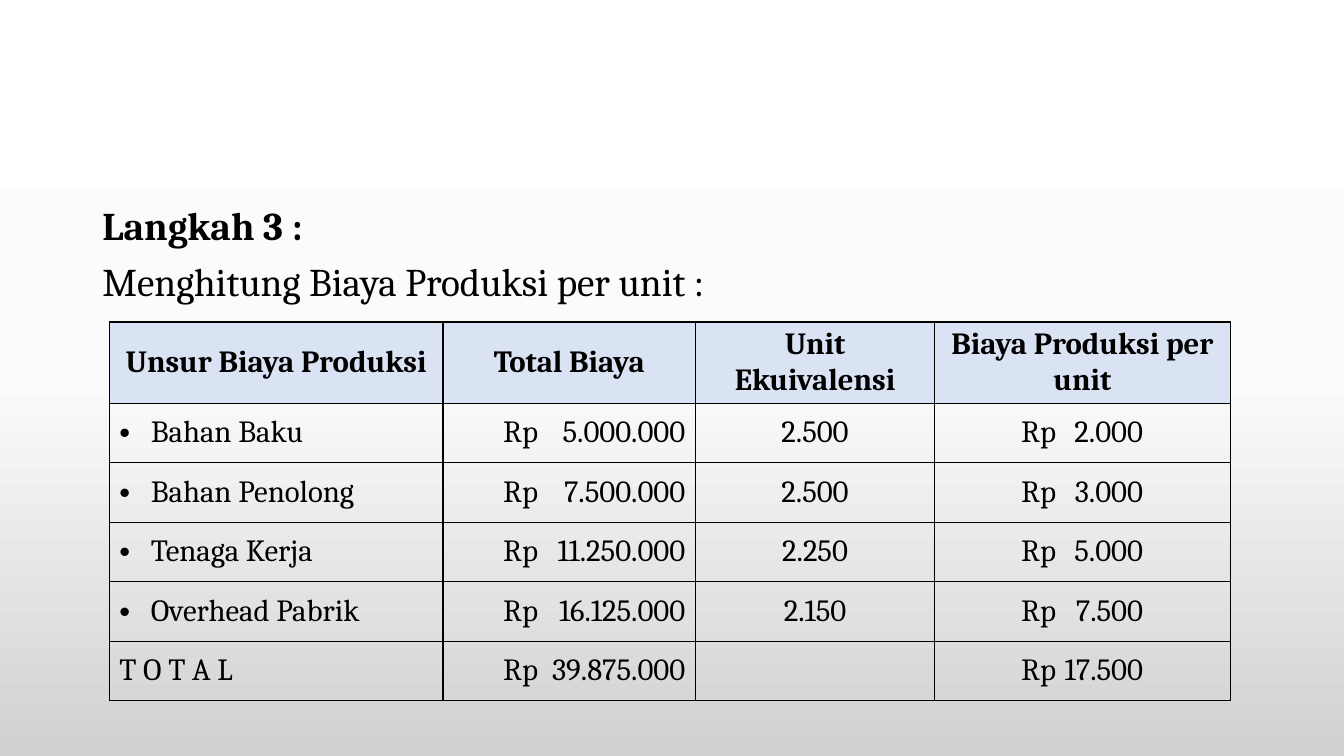
from copy import deepcopy

from lxml import etree
from pptx import Presentation
from pptx import util as u
from pptx.dml.color import RGBColor
from pptx.enum import text
from pptx.oxml import ns

BLACK = RGBColor(0x00, 0x00, 0x00)
WHITE = RGBColor(0xFF, 0xFF, 0xFF)
NEAR_WHITE = RGBColor(0xFB, 0xFB, 0xFB)
GREY = RGBColor(0xD1, 0xD1, 0xD1)
HEADER_BLUE = RGBColor(0xDA, 0xE3, 0xF3)

HEADERS = ["Unsur Biaya Produksi", "Total Biaya", "Unit Ekuivalensi", "Biaya Produksi per unit"]
COSTS = [
    ["Bahan Baku", "Rp\t5.000.000", "2.500", "Rp\t2.000"],
    ["Bahan Penolong", "Rp\t7.500.000", "2.500", "Rp\t3.000"],
    ["Tenaga Kerja", "Rp\t11.250.000", "2.250", "Rp\t5.000"],
    ["Overhead Pabrik", "Rp\t16.125.000", "2.150", "Rp\t7.500"],
]
TOTAL = ["T O T A L", "Rp\t39.875.000", "", "Rp\t17.500"]
COLUMN_WIDTHS = [238.5, 180.5, 170.5, 211.5]
HEADER_HEIGHT, ROW_HEIGHT = 58, 42.5
AMOUNT_COLUMNS = {1: (43, 130), 3: (62, 87)}


def add_child(parent, tag, **attributes):
    return etree.SubElement(parent, ns.qn(tag), attributes)


class SlideBuilder:
    font_name = "Cambria"
    body_size = 28
    table_size = 22

    def __init__(self, presentation):
        self.slide = presentation.slides.add_slide(presentation.slide_layouts[1])
        title = self.slide.shapes.title
        title.element.getparent().remove(title.element)

    def background(self, colors):
        fill = self.slide.background.fill
        fill.gradient()
        fill.gradient_angle = 270
        last = fill.gradient_stops[1]._gs
        last.addprevious(deepcopy(last))
        for index, (stop, color) in enumerate(zip(fill.gradient_stops, colors)):
            stop.position = index / (len(colors) - 1)
            stop.color.rgb = color

    def format_runs(self, paragraph, size, bold=False):
        for run in paragraph.runs:
            run.font.name = self.font_name
            run.font.size = u.Pt(size)
            run.font.bold = bold
            run.font.color.rgb = BLACK

    def body(self, left, top, width, height, lines):
        shape = self.slide.placeholders[1]
        shape.left, shape.top = u.Pt(left), u.Pt(top)
        shape.width, shape.height = u.Pt(width), u.Pt(height)
        frame = shape.text_frame
        frame.text = "\n".join(lines)
        frame.auto_size = text.MSO_AUTO_SIZE.NONE
        for index, paragraph in enumerate(frame.paragraphs):
            properties = paragraph._p.get_or_add_pPr()
            properties.set("marL", "0")
            properties.set("indent", "0")
            add_child(properties, "a:buNone")
            paragraph.line_spacing = 0.9
            paragraph.space_before = u.Pt(10 if index else 0)
            self.format_runs(paragraph, self.body_size, bold=index == 0)

    def table(self, left, top, column_widths, row_heights, rows):
        table = self.slide.shapes.add_table(
            len(rows), len(column_widths), u.Pt(left), u.Pt(top),
            u.Pt(sum(column_widths)), u.Pt(sum(row_heights))).table
        table.horz_banding = False
        for column, width in zip(table.columns, column_widths):
            column.width = u.Pt(width)
        for row, height in zip(table.rows, row_heights):
            row.height = u.Pt(height)
        for row_index, values in enumerate(rows):
            for column_index, value in enumerate(values):
                self.cell(table.cell(row_index, column_index), value, row_index == 0)
        return table

    def cell(self, cell, value, header):
        cell.text = value
        cell.vertical_anchor = text.MSO_ANCHOR.MIDDLE
        self.borders(cell)
        if header:
            cell.fill.solid()
            cell.fill.fore_color.rgb = HEADER_BLUE
        else:
            cell.fill.background()
        paragraph = cell.text_frame.paragraphs[0]
        paragraph.alignment = text.PP_ALIGN.CENTER
        self.format_runs(paragraph, self.table_size, header)

    def borders(self, cell):
        properties = cell._tc.get_or_add_tcPr()
        for side in ("a:lnL", "a:lnR", "a:lnT", "a:lnB"):
            line = add_child(properties, side, w=str(u.Pt(1)))
            add_child(add_child(line, "a:solidFill"), "a:srgbClr", val=str(BLACK))

    def bullet(self, cell):
        paragraph = cell.text_frame.paragraphs[0]
        paragraph.alignment = text.PP_ALIGN.LEFT
        properties = paragraph._p.get_or_add_pPr()
        indent = u.Pt(22.5)
        properties.set("marL", str(indent))
        properties.set("indent", str(-indent))
        add_child(properties, "a:buFont", typeface="Arial")
        add_child(properties, "a:buChar", char="•")

    def amount(self, cell, margin, tab):
        cell.margin_left, cell.margin_right = u.Pt(margin), 0
        paragraph = cell.text_frame.paragraphs[0]
        paragraph.alignment = text.PP_ALIGN.LEFT
        tabs = add_child(paragraph._p.get_or_add_pPr(), "a:tabLst")
        add_child(tabs, "a:tab", pos=str(u.Pt(tab)), algn="r")


def main():
    presentation = Presentation()
    presentation.slide_width, presentation.slide_height = u.Pt(960), u.Pt(540)
    builder = SlideBuilder(presentation)
    builder.background([WHITE, NEAR_WHITE, GREY])
    builder.body(66, 144, 828, 343, ["Langkah 3 :", "Menghitung Biaya Produksi per unit :"])

    rows = [HEADERS, *COSTS, TOTAL]
    heights = [HEADER_HEIGHT] + [ROW_HEIGHT] * (len(rows) - 1)
    table = builder.table(78, 230, COLUMN_WIDTHS, heights, rows)
    for row_index in range(1, len(rows)):
        for column_index, (margin, tab) in AMOUNT_COLUMNS.items():
            builder.amount(table.cell(row_index, column_index), margin, tab)
    for row_index in range(1, len(COSTS) + 1):
        builder.bullet(table.cell(row_index, 0))
    table.cell(len(rows) - 1, 0).text_frame.paragraphs[0].alignment = text.PP_ALIGN.LEFT
    presentation.save("out.pptx")


if __name__ == "__main__":
    main()
